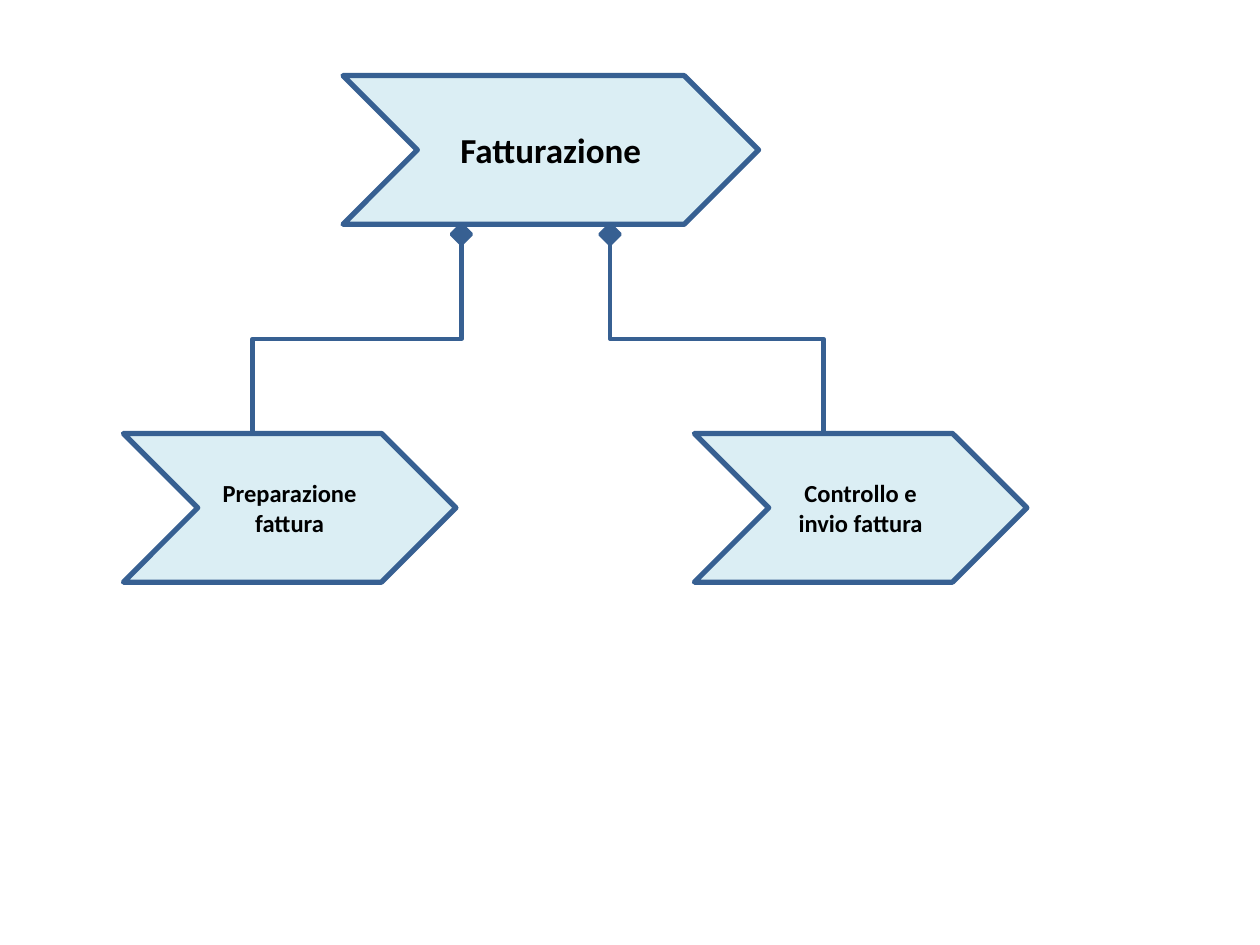
from lxml import etree
from pptx import Presentation
from pptx.dml.color import RGBColor
from pptx.enum.shapes import MSO_CONNECTOR, MSO_SHAPE
from pptx.enum.text import MSO_ANCHOR, PP_ALIGN
from pptx.oxml.ns import qn
from pptx.util import Inches, Pt

CHEVRON = MSO_SHAPE.CHEVRON
DIAMOND = MSO_SHAPE.FLOWCHART_DECISION
ELBOW = MSO_CONNECTOR.ELBOW
MIDDLE = MSO_ANCHOR.MIDDLE
CENTER = PP_ALIGN.CENTER

WIDTH, HEIGHT = 10, 7.5
BLUE, PALE, BLACK = "376092", "DBEEF4", "000000"
STEP_H = 1.18
MARK = 0.16


def color(code):
    return RGBColor.from_string(code)


def add_shape(slide, kind, box, fill, weight):
    shape = slide.shapes.add_shape(kind, *[Inches(n) for n in box])
    shape.shadow.inherit = False
    shape.fill.solid()
    shape.fill.fore_color.rgb = color(fill)
    shape.line.color.rgb = color(BLUE)
    shape.line.width = Pt(weight)
    return shape


def add_step(slide, box, text, size):
    frame = add_shape(slide, CHEVRON, box, PALE, 3).text_frame
    frame.word_wrap = True
    frame.vertical_anchor = MIDDLE
    frame.text = text
    para = frame.paragraphs[0]
    para.alignment = CENTER
    font = para.runs[0].font
    font.name, font.size, font.bold = "Calibri", Pt(size), True
    font.color.rgb = color(BLACK)


def add_link(slide, start, end):
    (x1, y1), (x2, y2) = start, end
    mid_x, mid_y = (x1 + x2) / 2, (y1 + y2) / 2
    side = 1 if x2 > x1 else -1
    half_w, half_h = (y2 - y1) / 2, abs(x2 - x1) / 2
    ends = (mid_x + side * half_w, mid_y - half_h,
            mid_x - side * half_w, mid_y + half_h)
    link = slide.shapes.add_connector(ELBOW, *[Inches(n) for n in ends])
    link.line.color.rgb = color(BLUE)
    link.line.width = Pt(2.5)
    props = link._element.spPr
    turn = 270 if side > 0 else 90
    props.find(qn("a:xfrm")).set("rot", str(turn * 60000))
    etree.SubElement(props, qn("a:effectLst"))


def add_tree(slide, box, root, leaves):
    left, top, width, height = box
    root_w, leaf_w = width * 0.46, width * 0.368
    root_x = left + width * 0.243
    leaf_y = top + height - STEP_H
    add_step(slide, (root_x, top, root_w, STEP_H), root, 20)
    base = top + STEP_H
    gap = (width - leaf_w) / (len(leaves) - 1)
    for i, text in enumerate(leaves):
        leaf_x = left + i * gap
        add_step(slide, (leaf_x, leaf_y, leaf_w, STEP_H), text, 14)
        mark_x = root_x + 0.94 + i * STEP_H
        spot = (mark_x - MARK / 2, base, MARK, MARK)
        add_shape(slide, DIAMOND, spot, BLUE, 2)
        joint = leaf_x + (leaf_w - STEP_H / 2) / 2
        add_link(slide, (mark_x, base + MARK), (joint, leaf_y))


def main():
    deck = Presentation()
    deck.slide_width, deck.slide_height = Inches(WIDTH), Inches(HEIGHT)
    slide = deck.slides.add_slide(deck.slide_layouts[6])
    area = (WIDTH * 0.098, HEIGHT * 0.08, WIDTH * 0.717, HEIGHT * 0.536)
    add_tree(slide, area, "Fatturazione",
             ["Preparazione fattura", "Controllo e invio fattura"])
    deck.save("out.pptx")


if __name__ == "__main__":
    main()
